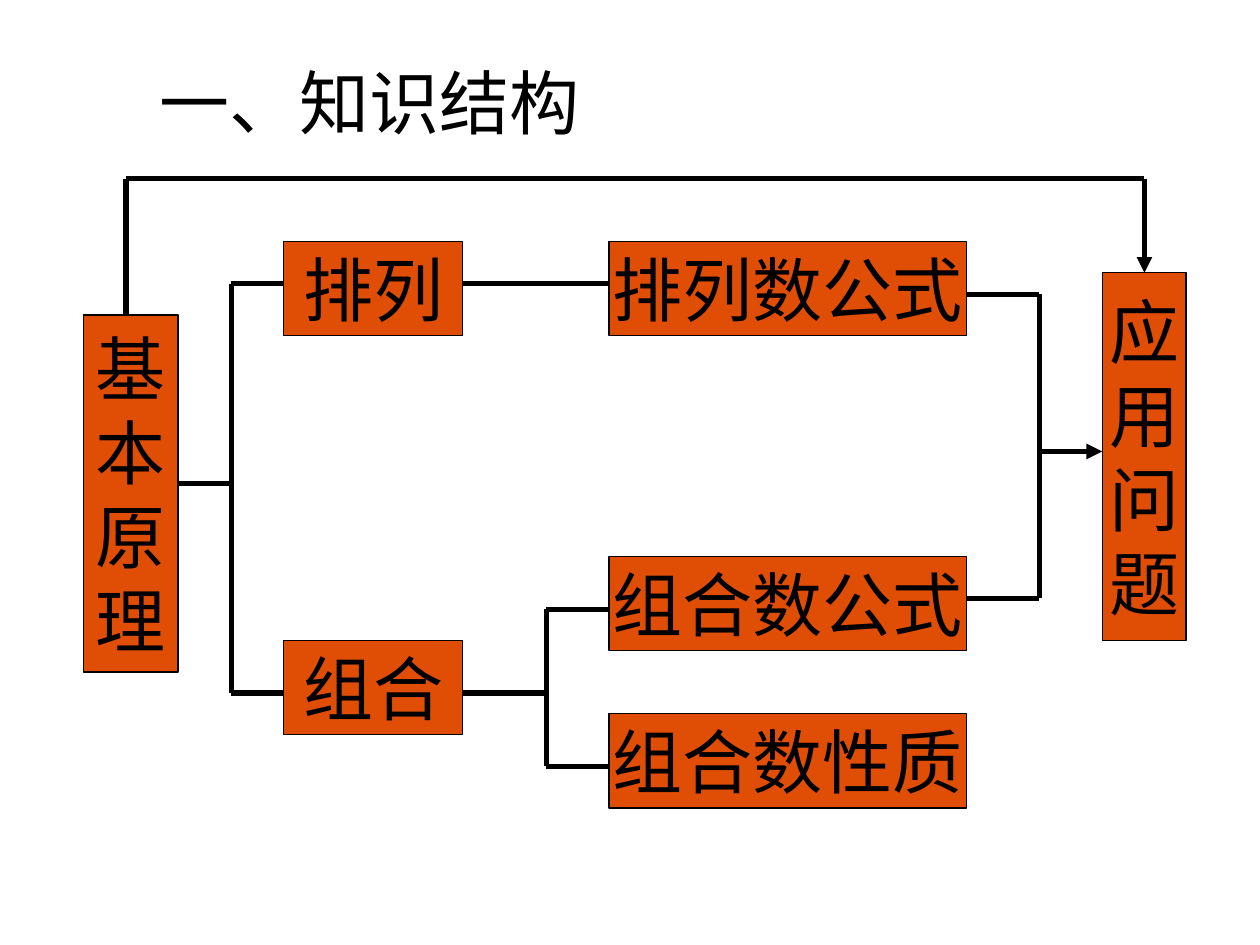
"""Build a slide with the knowledge structure of permutations and combinations."""
from dataclasses import dataclass

from lxml.etree import SubElement
from pptx import Presentation
from pptx.dml.color import RGBColor
from pptx.enum.shapes import MSO_CONNECTOR, MSO_SHAPE
from pptx.enum.text import MSO_ANCHOR, MSO_AUTO_SIZE, PP_ALIGN
from pptx.oxml.ns import qn
from pptx.util import Cm, Pt


@dataclass(frozen=True)
class Theme:
    ink: RGBColor = RGBColor(0x00, 0x00, 0x00)
    box: RGBColor = RGBColor(0xE0, 0x4D, 0x04)
    font: str = "Times New Roman"
    size: Pt = Pt(40)
    border: Pt = Pt(0.75)
    link: Pt = Pt(3)


theme = Theme()
frame_format = {"word_wrap": False, "vertical_anchor": MSO_ANCHOR.MIDDLE}
title_format = {"word_wrap": True, "auto_size": MSO_AUTO_SIZE.SHAPE_TO_FIT_TEXT}
font_format = {"name": theme.font, "size": theme.size}


def apply(obj, values):
    for name, value in values.items():
        setattr(obj, name, value)


def write(tf, lines, frame_values, paragraph_values):
    apply(tf, frame_values)
    for i, line in enumerate(lines):
        p = tf.add_paragraph() if i else tf.paragraphs[0]
        apply(p, paragraph_values)
        r = p.add_run()
        r.text = line
        apply(r.font, font_format)
        r.font.color.rgb = theme.ink


prs = Presentation()
apply(prs, {"slide_width": Cm(25.4), "slide_height": Cm(19.05)})
s = prs.slides.add_slide(prs.slide_layouts[6])

row_height, topic_width, formula_width = 1.9, 3.6, 7.2
topic_left, formula_left = 5.72, 12.28
boxes = [
    (list("基本原理"), 1.69, 6.35, 2.41, 9.1),
    (["组合"], topic_left, 12.91, topic_width, row_height),
    (["排列"], topic_left, 4.87, topic_width, row_height),
    (["排列数公式"], formula_left, 4.87, formula_width, row_height),
    (["组合数公式"], formula_left, 11.22, formula_width, row_height),
    (["组合数性质"], formula_left, 14.39, formula_width, row_height),
    (list("应用问题"), 22.22, 5.5, 1.69, 7.41),
]
boxes[0] = (*boxes[0][:3], row_height, formula_width)
for lines, *place in boxes:
    sp = s.shapes.add_shape(MSO_SHAPE.RECTANGLE, *map(Cm, place))
    sp.shadow.inherit = False
    sp.fill.solid()
    sp.fill.fore_color.rgb = theme.box
    sp.line.color.rgb = theme.ink
    sp.line.width = theme.border
    write(sp.text_frame, lines, frame_format, {"alignment": PP_ALIGN.CENTER})

title = s.shapes.add_textbox(Cm(2.97), Cm(1.07), Cm(9.73), Cm(1.96))
write(title.text_frame, ["一、知识结构"], title_format, {"space_before": Pt(25)})

topic_right, formula_right = topic_left + topic_width, formula_left + formula_width
split_x, fork_x, merge_x = 4.66, 11.01, 20.95
start_x, end_x, over_y = 2.54, 23.07, 3.6
upper_y, lower_y = 5.72, 13.97
formula_y, property_y = 12.28, 15.45
merge_top, merge_bottom = 5.93, 12.06
links = [
    (split_x, upper_y, split_x, lower_y, False),
    (split_x, upper_y, topic_left, upper_y, False),
    (split_x, lower_y, topic_left, lower_y, False),
    (3.6, 9.74, split_x, 9.74, False),
    (topic_right, upper_y, formula_left, upper_y, False),
    (fork_x, formula_y, fork_x, property_y, False),
    (fork_x, formula_y, formula_left, formula_y, False),
    (formula_left, property_y, fork_x, property_y, False),
    (topic_right, lower_y, fork_x, lower_y, False),
    (merge_x, merge_top, merge_x, merge_bottom, False),
    (formula_right, merge_top, merge_x, merge_top, False),
    (formula_right, merge_bottom, merge_x, merge_bottom, False),
    (start_x, over_y, end_x, over_y, False),
    (end_x, over_y, end_x, 5.5, True),
    (start_x, 6.35, start_x, over_y, False),
    (merge_x, 9.1, 22.22, 9.1, True),
]
for *ends, arrow in links:
    link = s.shapes.add_connector(MSO_CONNECTOR.STRAIGHT, *map(Cm, ends))
    link.line.color.rgb = theme.ink
    link.line.width = theme.link
    if arrow:
        SubElement(link.line._get_or_add_ln(), qn("a:tailEnd"), type="triangle")
    SubElement(link._element.spPr, qn("a:effectLst"))

prs.save("out.pptx")
